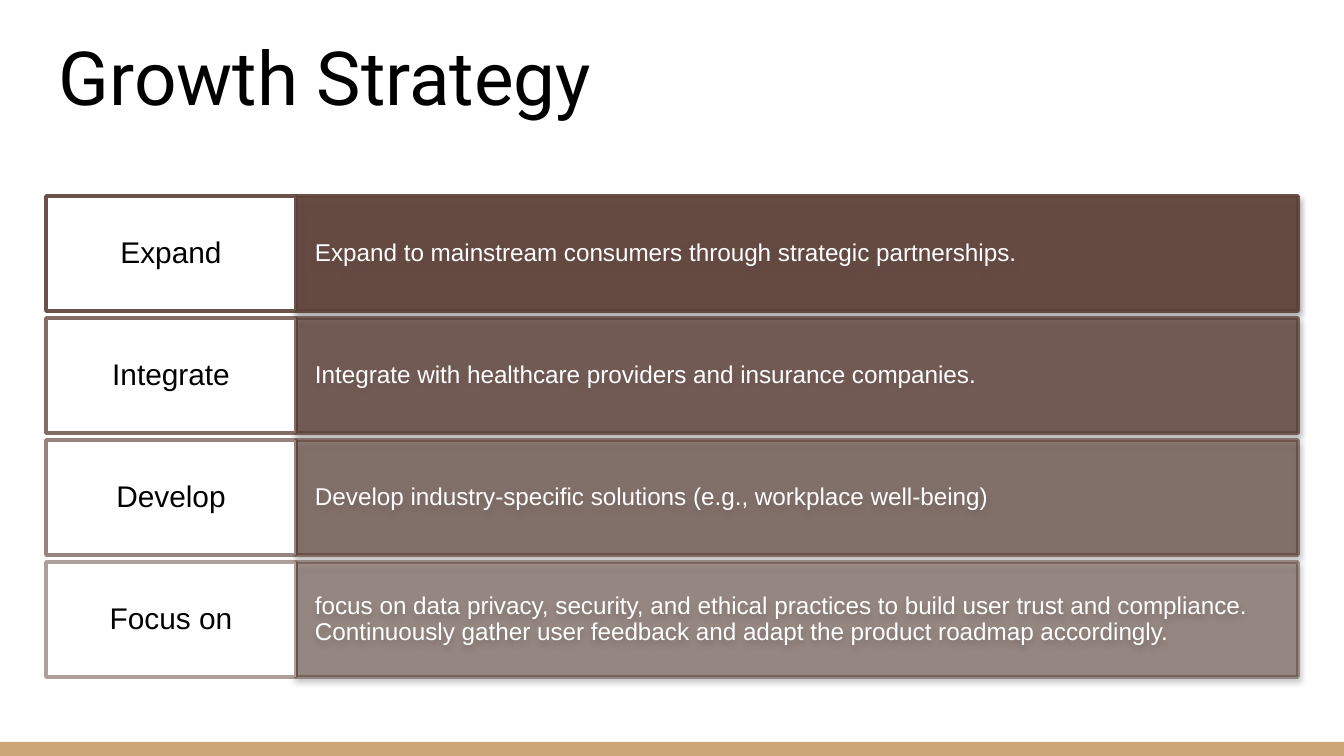
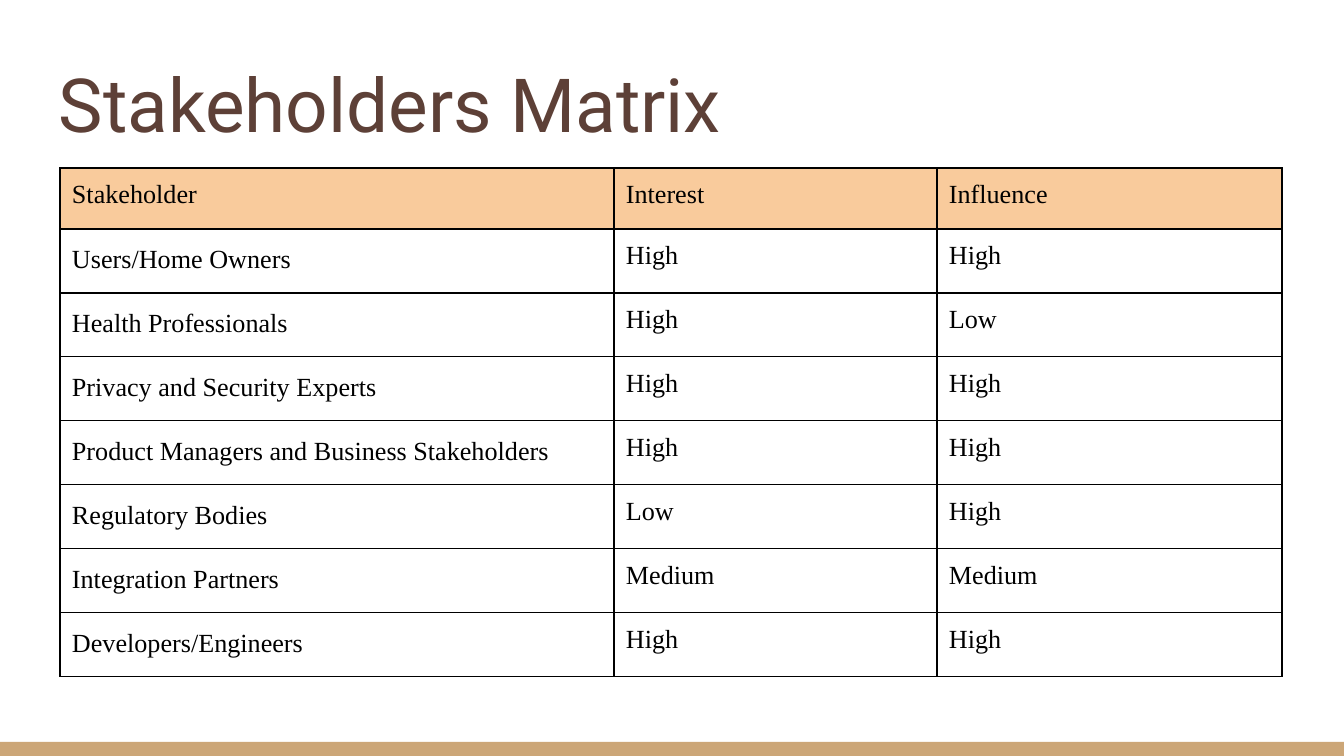
from lxml.etree import SubElement
from pptx import Presentation
from pptx.dml.color import RGBColor
from pptx.enum.shapes import MSO_SHAPE as Preset
from pptx.enum.text import MSO_ANCHOR as Anchor, PP_ALIGN as Align
from pptx.oxml.ns import qn
from pptx.util import Emu, Pt

# Scale and page
PX = 914400 / 134.4
PAGE_W, PAGE_H = 1344, 756

# Colours
BLACK = RGBColor(0x00, 0x00, 0x00)
WHITE = RGBColor(0xFF, 0xFF, 0xFF)
BROWN = RGBColor(0x5D, 0x40, 0x37)
TAN = RGBColor(0xCC, 0xA6, 0x77)
PEACH = RGBColor(0xF9, 0xCB, 0x9C)

# Text formats
TITLE_FONT = {"name": "Roboto", "size": Pt(40)}
LABEL_FONT = {"name": "Arial", "size": Pt(16)}
DETAIL_FONT = {"name": "Arial", "size": Pt(13)}
TABLE_FONT = {"name": "Times New Roman", "size": Pt(14)}
TIGHT = {"line_spacing": 0.9}
CENTRED = {"line_spacing": 0.9, "alignment": Align.CENTER}
LEFT = {"line_spacing": 0.9, "alignment": Align.LEFT}
PLAIN = {"line_spacing": 1.0}
SPACED = {"line_spacing": 1.15, "space_before": Pt(12), "space_after": Pt(12)}

# Content: label, description, opacity in percent
STRATEGIES = [
    ("Expand", "Expand to mainstream consumers through strategic partnerships.", 90),
    ("Integrate", "Integrate with healthcare providers and insurance companies.", 77),
    ("Develop", "Develop industry-specific solutions (e.g., workplace well-being)", 63),
    ("Focus on", "focus on data privacy, security, and ethical practices to build user "
     "trust and compliance. Continuously gather user feedback and adapt the product "
     "roadmap accordingly.", 50),
]
STAKEHOLDERS = [
    ("Stakeholder", "Interest", "Influence"),
    ("Users/Home Owners", "High", "High"),
    ("Health Professionals", "High", "Low"),
    ("Privacy and Security Experts", "High", "High"),
    ("Product Managers and Business Stakeholders", "High", "High"),
    ("Regulatory Bodies", "Low", "High"),
    ("Integration Partners", "Medium", "Medium"),
    ("Developers/Engineers", "High", "High"),
]


def px(length):
    return Emu(round(length * PX))


def box(*lengths):
    return [px(length) for length in lengths]


def apply(target, values):
    for key, value in values.items():
        setattr(target, key, value)


def set_insets(holder, across, down):
    apply(holder, {"margin_left": px(across), "margin_right": px(across),
                   "margin_top": px(down), "margin_bottom": px(down)})


def write(frame, text, font, color, layout):
    paragraph = frame.paragraphs[0]
    apply(paragraph, layout)
    run = paragraph.add_run()
    run.text = text
    apply(run.font, font)
    run.font.color.rgb = color


def set_opacity(properties, percent):
    color = properties.find(qn("a:solidFill")).find(qn("a:srgbClr"))
    SubElement(color, qn("a:alpha"), val=str(percent * 1000))


def add_panel(slide, place, fill):
    panel = slide.shapes.add_shape(Preset.RECTANGLE, *box(*place))
    panel.shadow.inherit = False
    panel.fill.solid()
    panel.fill.fore_color.rgb = fill
    panel.line.fill.background()
    return panel


def add_outline(panel, opacity):
    panel.line.color.rgb = BROWN
    panel.line.width = Pt(2)
    outline = panel.line._ln
    set_opacity(outline, opacity)
    SubElement(outline, qn("a:round"))


def add_soft_shadow(panel):
    effects = panel._element.spPr.find(qn("a:effectLst"))
    shadow = SubElement(effects, qn("a:outerShdw"), blurRad="40000", dist="20000",
                        dir="5400000", rotWithShape="0")
    color = SubElement(shadow, qn("a:srgbClr"), val=str(BLACK))
    SubElement(color, qn("a:alpha"), val="38000")


def fill_panel_text(panel, text, font, color, layout, insets):
    frame = panel.text_frame
    apply(frame, {"word_wrap": True, "vertical_anchor": Anchor.MIDDLE})
    set_insets(frame, *insets)
    write(frame, text, font, color, layout)


def add_page(deck, title, title_top, title_color):
    slide = deck.slides.add_slide(deck.slide_layouts[6])
    slide.background.fill.solid()
    slide.background.fill.fore_color.rgb = WHITE
    add_panel(slide, (0, 742, PAGE_W, 14), TAN)
    heading = slide.shapes.add_textbox(*box(46, title_top, 1252, 122))
    fill_panel_text(heading, title, TITLE_FONT, title_color, TIGHT, (13, 13))
    return slide


def add_strategy(slide, top, label, detail, opacity):
    left, label_width, detail_width, height = 46, 250, 1002, 115

    detail_panel = add_panel(slide, (left + label_width, top, detail_width, height), BROWN)
    set_opacity(detail_panel._element.spPr, opacity)
    add_outline(detail_panel, opacity)
    add_soft_shadow(detail_panel)
    fill_panel_text(detail_panel, detail, DETAIL_FONT, WHITE, LEFT, (19, 30))

    label_panel = add_panel(slide, (left, top, label_width, height), WHITE)
    add_outline(label_panel, opacity)
    fill_panel_text(label_panel, label, LABEL_FONT, BLACK, CENTRED, (13, 11))


def add_cell_borders(cell):
    properties = cell._tc.get_or_add_tcPr()
    for index, side in enumerate(("lnL", "lnR", "lnT", "lnB")):
        border = properties.makeelement(qn(f"a:{side}"), {"w": "9525"})
        fill = SubElement(border, qn("a:solidFill"))
        SubElement(fill, qn("a:srgbClr"), val=str(BLACK))
        properties.insert(index, border)


def add_matrix(slide, rows, left, top, widths, heights):
    frame = slide.shapes.add_table(len(rows), len(widths),
                                   *box(left, top, sum(widths), sum(heights)))
    matrix = frame.table
    apply(matrix, {"first_row": False, "horz_banding": False})
    for column, width in zip(matrix.columns, widths):
        column.width = px(width)
    for row, height in zip(matrix.rows, heights):
        row.height = px(height)

    for r, values in enumerate(rows):
        for c, value in enumerate(values):
            cell = matrix.cell(r, c)
            set_insets(cell, 12, 12)
            if r == 0:
                cell.fill.solid()
                cell.fill.fore_color.rgb = PEACH
            else:
                cell.fill.background()
            add_cell_borders(cell)
            layout = SPACED if r and c == 0 else PLAIN
            write(cell.text_frame, value, TABLE_FONT, BLACK, layout)


def main():
    deck = Presentation()
    deck.slide_width, deck.slide_height = box(PAGE_W, PAGE_H)

    # Growth strategy
    growth = add_page(deck, "Growth Strategy", 20, BLACK)
    for index, strategy in enumerate(STRATEGIES):
        add_strategy(growth, 196 + index * 122, *strategy)

    # Stakeholders matrix
    stakeholders = add_page(deck, "Stakeholders Matrix", 47, BROWN)
    heights = [61] + [64] * (len(STAKEHOLDERS) - 1)
    add_matrix(stakeholders, STAKEHOLDERS, 60, 168, (554, 323, 345), heights)

    deck.save("out.pptx")


if __name__ == "__main__":
    main()
